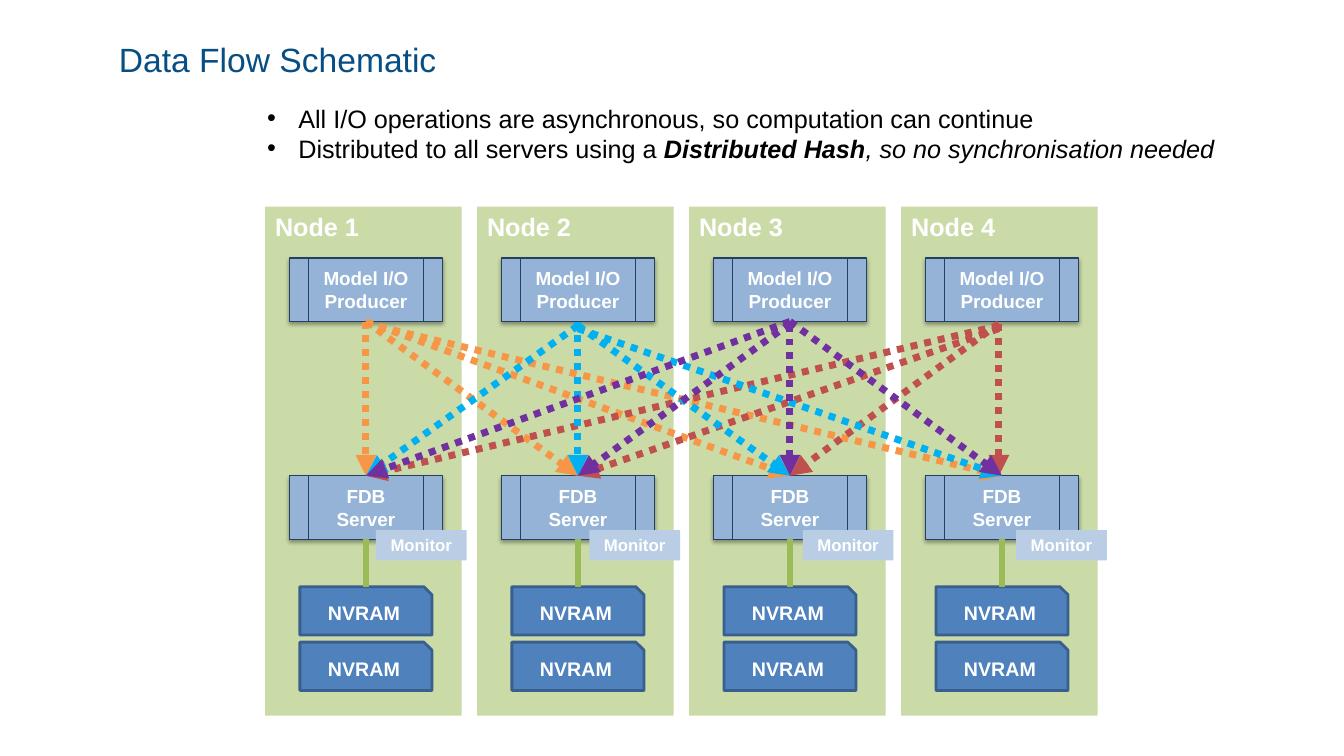
from typing import NamedTuple

from lxml.etree import SubElement
from pptx import Presentation
from pptx.dml.color import RGBColor
from pptx.enum.dml import MSO_LINE
from pptx.enum.shapes import MSO_CONNECTOR, MSO_SHAPE as Preset
from pptx.enum.text import MSO_ANCHOR as Anchor, MSO_AUTO_SIZE as AutoSize, PP_ALIGN as Align
from pptx.oxml.ns import qn
from pptx.util import Inches, Pt

CELL = Inches(0.1)
SLIDE_COLUMNS, SLIDE_ROWS = 133.33, 75

TITLE_BLUE = RGBColor(0x06, 0x4E, 0x83)
BLACK = RGBColor(0, 0, 0)
WHITE = RGBColor(255, 255, 255)
NODE_GREEN = RGBColor(0x9B, 0xBB, 0x59)
PROCESS_BLUE = RGBColor(0x95, 0xB3, 0xD7)
PROCESS_EDGE = RGBColor(0x25, 0x40, 0x61)
MEMORY_BLUE = RGBColor(0x4F, 0x81, 0xBD)
MEMORY_EDGE = RGBColor(0x3A, 0x5F, 0x8C)
MONITOR_BLUE = RGBColor(0xB9, 0xCD, 0xE5)
ORANGE = RGBColor(0xF7, 0x96, 0x46)
RED = RGBColor(0xC0, 0x50, 0x4D)
CYAN = RGBColor(0x00, 0xB0, 0xF0)
PURPLE = RGBColor(0x70, 0x30, 0xA0)


class Box(NamedTuple):
    left: float
    top: float
    width: float
    height: float

    def inner(self, column, row, width, height):
        return Box(self.left + column, self.top + row, width, height)

    def emu(self):
        return [round(length * CELL) for length in self]


TITLE_BOX = Box(11.8, 4, 109.7, 4)
POINTS_BOX = Box(25.5, 9.7, 98.4, 7.1)
NODE_COUNT = 4
FIRST_NODE = Box(26.3, 20.5, 19.5, 50.5)
NODE_PITCH = (89.4 - 26.3) / (NODE_COUNT - 1)
FIRST_MONITOR = Box(37.3, 52.6, 9, 3)
MONITOR_PITCH = 21.17
NODES = [FIRST_NODE._replace(left=FIRST_NODE.left + NODE_PITCH * i) for i in range(NODE_COUNT)]
PORT_COLUMN = 10
SERVER_TOP, SERVER_BOTTOM, MEMORY_TOP = 26.7, 33, 37.7

FLOWS = (
    (0, ORANGE, 0, {0: 11.4, 1: 11.4, 2: 11.4, 3: 11.6}),
    (3, RED, -0.3, {3: 11.6, 2: 11.6, 1: 12.1, 0: 11.8}),
    (1, CYAN, 0, {1: 11.4, 0: 11.8, 2: 11.8, 3: 12.1}),
    (2, PURPLE, 0, {0: 11.4, 1: 11.6, 3: 11.4, 2: 11.7}),
)
POINTS = (
    (("All I/O operations are asynchronous, so computation can continue", {}),),
    (
        ("Distributed to all servers using a ", {}),
        ("Distributed Hash", {"bold": True, "italic": True}),
        (", so no synchronisation needed", {"italic": True}),
    ),
)
ZERO_INSETS = {"margin_left": 0, "margin_right": 0, "margin_top": 0, "margin_bottom": 0}


def assign(target, settings):
    for attribute, value in settings.items():
        setattr(target, attribute, value)


def place(placeholder, box):
    assign(placeholder, dict(zip(("left", "top", "width", "height"), box.emu())))


def style_font(font, size, color, **extra):
    assign(font, {"name": "Arial", "size": Pt(size), **extra})
    font.color.rgb = color


def add_block(slide, box, preset, lines, size, fill, edge=None, edge_width=0,
              align=Align.CENTER, anchor=Anchor.MIDDLE):
    block = slide.shapes.add_shape(preset, *box.emu())
    block.shadow.inherit = False
    block.fill.solid()
    block.fill.fore_color.rgb = fill
    if edge is None:
        block.line.fill.background()
    else:
        block.line.color.rgb = edge
        block.line.width = Pt(edge_width)
    frame = block.text_frame
    assign(frame, {"text": "\n".join(lines), "word_wrap": True, "vertical_anchor": anchor})
    for paragraph in frame.paragraphs:
        paragraph.alignment = align
        style_font(paragraph.runs[0].font, size, WHITE, bold=True)
    return block


def add_link(slide, start, end, color, width):
    ends = [round(length * CELL) for length in (*start, *end)]
    link = slide.shapes.add_connector(MSO_CONNECTOR.STRAIGHT, *ends)
    link.line.color.rgb = color
    link.line.width = Pt(width)
    SubElement(link._element.spPr, qn("a:effectLst"))
    return link


def add_process(slide, box, lines):
    process = add_block(slide, box, Preset.FLOWCHART_PREDEFINED_PROCESS, lines, 13.5,
                        PROCESS_BLUE, PROCESS_EDGE, 0.75)
    effects = process._element.spPr.find(qn("a:effectLst"))
    shadow = SubElement(effects, qn("a:outerShdw"), blurRad=str(Pt(3.1)), dist=str(Pt(1.8)),
                        dir="5400000", rotWithShape="0")
    shade = SubElement(shadow, qn("a:srgbClr"), val=str(BLACK))
    SubElement(shade, qn("a:alpha"), val="35000")


def add_title(slide, box):
    title = slide.shapes.title
    place(title, box)
    frame = title.text_frame
    assign(frame, {"text": "Data Flow Schematic", "vertical_anchor": Anchor.TOP,
                   "auto_size": AutoSize.NONE, **ZERO_INSETS})
    heading = frame.paragraphs[0]
    assign(heading, {"alignment": Align.LEFT, "line_spacing": Pt(28)})
    style_font(heading.runs[0].font, 24, TITLE_BLUE)


def add_points(slide, box):
    body = slide.placeholders[1]
    place(body, box)
    frame = body.text_frame
    assign(frame, {"auto_size": AutoSize.NONE, "word_wrap": True, "vertical_anchor": Anchor.TOP})
    for index, phrases in enumerate(POINTS):
        point = frame.add_paragraph() if index else frame.paragraphs[0]
        assign(point, {"space_before": Pt(0), "alignment": Align.LEFT})
        properties = point._p.get_or_add_pPr()
        properties.set("marL", str(Inches(0.31)))
        properties.set("indent", str(Inches(-0.31)))
        SubElement(properties, qn("a:buFont"), typeface="Arial")
        SubElement(properties, qn("a:buChar"), char="•")
        for wording, emphasis in phrases:
            phrase = point.add_run()
            phrase.text = wording
            style_font(phrase.font, 18, BLACK, **emphasis)


def add_node(slide, box, number):
    node = add_block(slide, box, Preset.RECTANGLE, [f"Node {number}"], 18, NODE_GREEN,
                     align=Align.LEFT, anchor=Anchor.TOP)
    tint = node._element.spPr.find(qn("a:solidFill"))[0]
    SubElement(tint, qn("a:alpha"), val="52000")
    add_process(slide, box.inner(2.4, 5.1, 15.2, 6.3), ["Model I/O", "Producer"])
    for bank in range(2):
        add_block(slide, box.inner(3.45, MEMORY_TOP + 5.5 * bank, 13.1, 4.8),
                  Preset.SNIP_1_RECTANGLE, ["NVRAM"], 14, MEMORY_BLUE, MEMORY_EDGE, 2)


def add_server(slide, box):
    add_process(slide, box.inner(2.4, SERVER_TOP, 15.2, 6.3), ["FDB", "Server"])
    port = box.left + PORT_COLUMN
    add_link(slide, (port, box.top + SERVER_BOTTOM), (port, box.top + MEMORY_TOP),
             NODE_GREEN, 3.75)


def add_flows(slide, nodes):
    for producer, color, nudge, departures in FLOWS:
        for server, departure in departures.items():
            source, target = nodes[producer], nodes[server]
            start = (source.left + PORT_COLUMN + nudge, source.top + departure)
            landing = nudge if producer == server else 0
            end = (target.left + PORT_COLUMN + landing, target.top + SERVER_TOP)
            flow = add_link(slide, start, end, color, 5)
            flow.line.dash_style = MSO_LINE.ROUND_DOT
            SubElement(flow._element.spPr.find(qn("a:ln")), qn("a:tailEnd"), type="triangle")


def add_monitors(slide, box):
    for index in range(NODE_COUNT):
        add_block(slide, box.inner(MONITOR_PITCH * index, 0, box.width, box.height),
                  Preset.RECTANGLE, ["Monitor"], 12, MONITOR_BLUE)


def main():
    deck = Presentation()
    assign(deck, {"slide_width": round(SLIDE_COLUMNS * CELL), "slide_height": SLIDE_ROWS * CELL})
    slide = deck.slides.add_slide(deck.slide_layouts[1])
    add_title(slide, TITLE_BOX)
    add_points(slide, POINTS_BOX)
    for number, node in enumerate(NODES, 1):
        add_node(slide, node, number)
    for node in NODES:
        add_server(slide, node)
    add_flows(slide, NODES)
    add_monitors(slide, FIRST_MONITOR)
    deck.save("out.pptx")


if __name__ == "__main__":
    main()
